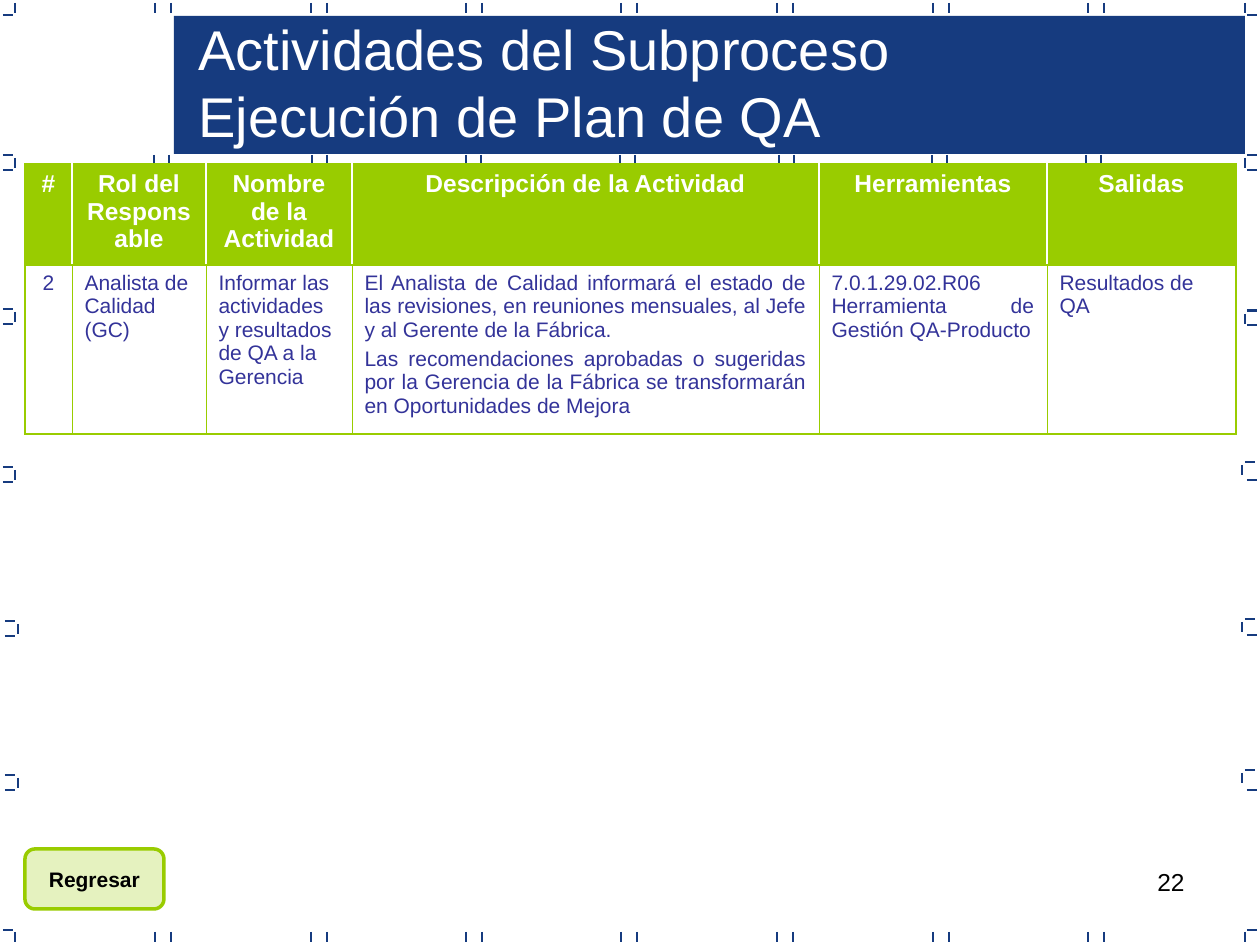
from dataclasses import dataclass

import pptx
import pptx.dml.color
import pptx.enum.shapes
import pptx.enum.text
import pptx.oxml
import pptx.oxml.ns
import pptx.util

RGB = pptx.dml.color.RGBColor
ALIGN = pptx.enum.text.PP_ALIGN
ANCHOR = pptx.enum.text.MSO_ANCHOR
SHAPE = pptx.enum.shapes.MSO_SHAPE
NS = pptx.oxml.ns.nsdecls("a")

NAVY = RGB(0x16, 0x3B, 0x7F)
GREEN = RGB(0x99, 0xCC, 0x00)
INDIGO = RGB(0x33, 0x33, 0x99)
WHITE = RGB(0xFF, 0xFF, 0xFF)
BLACK = RGB(0, 0, 0)
FONT = "Arial"
PX_PER_INCH = 126
TICK = 10


@dataclass(frozen=True)
class Box:
    left: int
    top: int
    width: int
    height: int


@dataclass(frozen=True)
class Style:
    size: int
    color: RGB
    align: ALIGN = ALIGN.LEFT
    bold: bool = False
    before: float = 0
    after: float = 0


@dataclass(frozen=True)
class Bracket:
    """Edge mark: an upright spine with an arm above and a foot below."""
    spine: int
    arm: int
    top: int
    foot: int
    bottom: int


@dataclass(frozen=True)
class Column:
    heading: str
    width: int
    body: tuple[str, ...]
    style: Style


def px(length: int) -> int:
    return round(length * 914400 / PX_PER_INCH)


def place(box: Box) -> tuple[int, ...]:
    return tuple(px(v) for v in (box.left, box.top, box.width, box.height))


def write(frame, lines: tuple[str, ...], style: Style) -> None:
    for i, line in enumerate(lines):
        paragraph = frame.paragraphs[0] if i == 0 else frame.add_paragraph()
        paragraph.alignment = style.align
        paragraph.space_before = pptx.util.Pt(style.before)
        paragraph.space_after = pptx.util.Pt(style.after)
        run = paragraph.add_run()
        run.text = line
        run.font.name = FONT
        run.font.size = pptx.util.Pt(style.size)
        run.font.bold = style.bold
        run.font.color.rgb = style.color


def add_text(slide, box: Box, lines: tuple[str, ...], style: Style) -> None:
    frame = slide.shapes.add_textbox(*place(box)).text_frame
    frame.word_wrap = True
    write(frame, lines, style)


def add_block(slide, kind: SHAPE, box: Box, fill: RGB):
    block = slide.shapes.add_shape(kind, *place(box))
    block.shadow.inherit = False
    block.fill.solid()
    block.fill.fore_color.rgb = fill
    block.line.fill.background()
    return block


def add_tick(slide, x: int, y: int, upright: bool) -> None:
    end = (x, y + TICK) if upright else (x + TICK, y)
    tick = slide.shapes.add_connector(
        pptx.enum.shapes.MSO_CONNECTOR.STRAIGHT, px(x), px(y), px(end[0]), px(end[1]))
    tick.line.color.rgb = NAVY
    tick.line.width = pptx.util.Pt(0.75)
    tick._element.spPr.append(pptx.oxml.parse_xml(f"<a:effectLst {NS}/>"))


def add_bracket(slide, mark: Bracket) -> None:
    add_tick(slide, mark.arm, mark.top, False)
    add_tick(slide, mark.spine, mark.top + 3, True)
    add_tick(slide, mark.foot, mark.bottom, False)


def set_border(cell, side: str, color: RGB, points: float) -> None:
    cell._tc.get_or_add_tcPr().append(pptx.oxml.parse_xml(
        f'<a:ln{side} {NS} w="{round(points * 12700)}"><a:solidFill>'
        f'<a:srgbClr val="{color}"/></a:solidFill></a:ln{side}>'))


HEADING = Style(14, WHITE, ALIGN.CENTER, True, 3.5)
BODY = Style(12, INDIGO, before=3)
CENTERED = Style(12, INDIGO, ALIGN.CENTER, before=3)
JUSTIFIED = Style(12, INDIGO, ALIGN.JUSTIFY, before=3)
SPACED = Style(12, INDIGO, ALIGN.JUSTIFY, before=7.1, after=7.1)

COLUMNS = (
    Column("#", 47, ("2",), CENTERED),
    Column("Rol del Responsable", 134, ("Analista de Calidad (GC)",), BODY),
    Column("Nombre de la Actividad", 146,
           ("Informar las actividades y resultados de QA a la Gerencia",), BODY),
    Column("Descripción de la Actividad", 467, (
        "El Analista de Calidad informará el estado de las revisiones, en reuniones "
        "mensuales, al Jefe y al Gerente de la Fábrica.",
        "Las recomendaciones aprobadas o sugeridas por la Gerencia de la Fábrica se "
        "transformarán en Oportunidades de Mejora"), JUSTIFIED),
    Column("Herramientas", 228,
           ("7.0.1.29.02.R06 Herramienta de Gestión QA-Producto",), SPACED),
    Column("Salidas", 189, ("Resultados de QA",), BODY),
)
ROW_HEIGHTS = (101, 169)

BRACKETS = (
    *(Bracket(15, 3, top, 3, top + 15) for top in (155, 309, 467)),
    *(Bracket(18, 5, top, 5, top + 15) for top in (621, 775)),
    Bracket(1245, 1247, 155, 1247, 170),
    Bracket(1245, 1247, 311, 1247, 325),
    *(Bracket(1242, 1245, top, 1247, bottom)
      for top, bottom in ((462, 480), (619, 635), (770, 790))),
)
UNDER_TITLE = (154, 312, 466, 620, 779, 932, 1086)


def add_frame_marks(slide) -> None:
    # Pairs along the top and bottom edges, then under the title
    for i in range(7):
        for x in (155 + round(155.5 * i), 171 + round(155.5 * i)):
            add_tick(slide, x, 3, True)
            add_tick(slide, x, 932, True)
    for left in UNDER_TITLE:
        add_tick(slide, left, 155, True)
        add_tick(slide, left + 15, 155, True)
    # Corners and side edges
    for spine, arm in ((15, 3), (1245, 1247)):
        for spine_top, arm_top in ((3, 15), (932, 930)):
            add_tick(slide, spine, spine_top, True)
            add_tick(slide, arm, arm_top, False)
    for mark in BRACKETS:
        add_bracket(slide, mark)
    add_tick(slide, 1247, 310, False)


def add_activities(slide) -> None:
    box = Box(25, 164, sum(c.width for c in COLUMNS), sum(ROW_HEIGHTS))
    table = slide.shapes.add_table(2, len(COLUMNS), *place(box)).table
    table.first_row = table.horz_banding = False
    for row, height in zip(table.rows, ROW_HEIGHTS):
        row.height = px(height)
    last = len(COLUMNS) - 1
    outer = (GREEN, 1.08)
    for c, column in enumerate(COLUMNS):
        table.columns[c].width = px(column.width)
        for r in range(2):
            cell = table.cell(r, c)
            inner = (GREEN, 0.45) if r else (WHITE, 0.75)
            middle = (GREEN, 0.75)
            set_border(cell, "L", *(outer if c == 0 else inner))
            set_border(cell, "R", *(outer if c == last else inner))
            set_border(cell, "T", *(middle if r else outer))
            set_border(cell, "B", *(outer if r else middle))
            if r:
                cell.fill.background()
                write(cell.text_frame, column.body, column.style)
            else:
                cell.fill.solid()
                cell.fill.fore_color.rgb = GREEN
                write(cell.text_frame, (column.heading,), HEADING)


def add_back_button(slide) -> None:
    button = add_block(slide, SHAPE.FLOWCHART_ALTERNATE_PROCESS, Box(25, 849, 139, 60), GREEN)
    tint = button._element.spPr.find(".//" + pptx.oxml.ns.qn("a:srgbClr"))
    tint.append(pptx.oxml.parse_xml(f'<a:alpha {NS} val="25000"/>'))
    button.line.color.rgb = GREEN
    button.line.width = pptx.util.Pt(2)
    button.text_frame.word_wrap = False
    button.text_frame.vertical_anchor = ANCHOR.MIDDLE
    write(button.text_frame, ("Regresar",), Style(12, BLACK, ALIGN.CENTER, True))


def main() -> None:
    deck = pptx.Presentation()
    deck.slide_width, deck.slide_height = px(1260), px(945)
    slide = deck.slides.add_slide(deck.slide_layouts[6])
    add_text(slide, Box(903, 861, 294, 66), ("22",), Style(14, BLACK, ALIGN.RIGHT))
    add_frame_marks(slide)
    add_block(slide, SHAPE.RECTANGLE, Box(174, 16, 1071, 138), NAVY)
    add_activities(slide)
    add_text(slide, Box(186, 8, 1048, 147),
             ("Actividades del Subproceso", "Ejecución de Plan de QA"), Style(32, WHITE))
    add_back_button(slide)
    deck.save("out.pptx")


if __name__ == "__main__":
    main()
